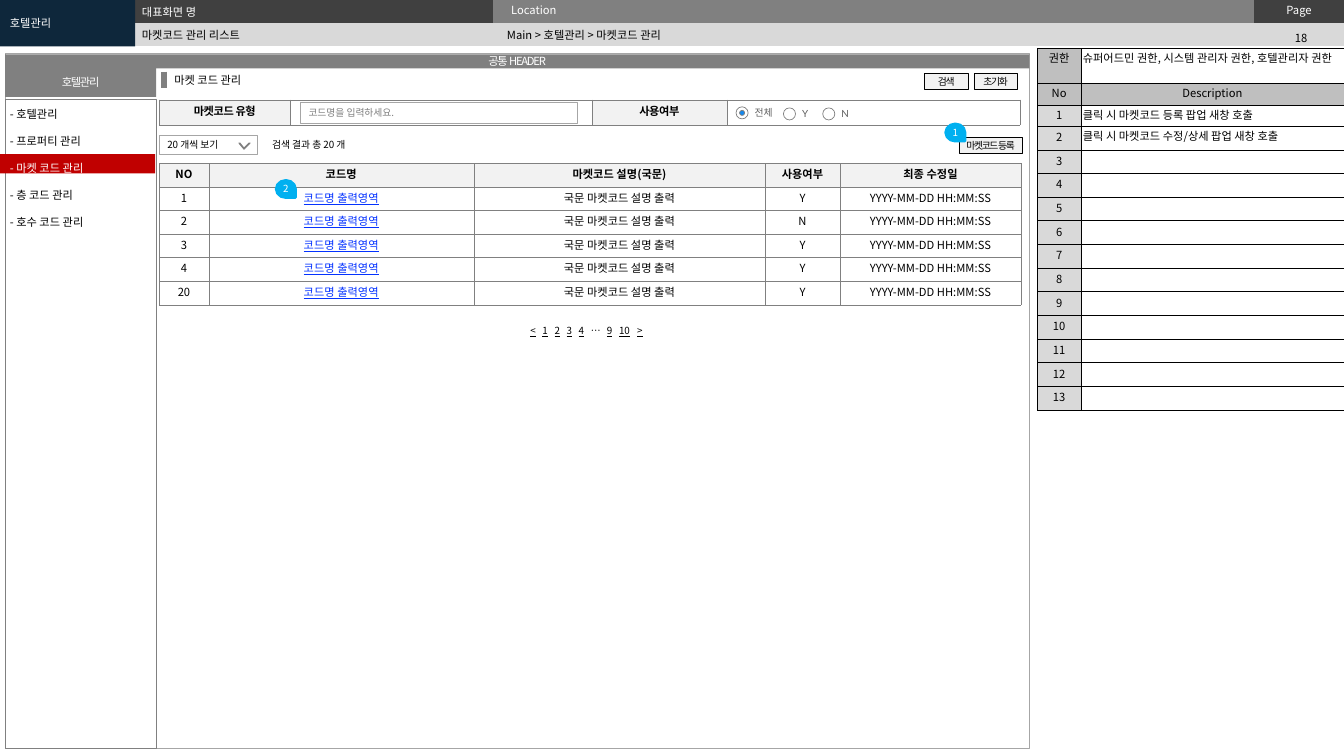
from lxml import etree
from pptx import Presentation
from pptx import util as u
from pptx.dml.color import RGBColor
from pptx.enum import shapes, text
from pptx.oxml import ns

# Grid of 1333 columns by 750 rows over the slide
COLUMNS, ROWS = 1333, 750
UNIT = u.Inches(0.01)
SANS, LABEL = "Noto Sans CJK KR", "Lato"
BLACK, WHITE, GRAY, PALE = "000000", "FFFFFF", "808080", "F2F2F2"
SILVER, EDGE, LINK, BLUE = "D9D9D9", "A6A6A6", "0432FF", "00B0F0"
CENTER, LEFT = text.PP_ALIGN.CENTER, text.PP_ALIGN.LEFT
MIDDLE, TOP = text.MSO_ANCHOR.MIDDLE, text.MSO_ANCHOR.TOP
RECT, OVAL = shapes.MSO_SHAPE.RECTANGLE, shapes.MSO_SHAPE.OVAL
PLAIN_STYLE = "{2D5ABB26-0587-4C30-8999-92F81FD0307C}"


def grid(*units):
    return [round(unit * UNIT) for unit in units]


def paint(fill, color):
    if color:
        fill.solid()
        fill.fore_color.rgb = RGBColor.from_string(color)
    else:
        fill.background()


def outline(shape, color, width):
    paint(shape.line.fill, color)
    if color:
        shape.line.width = u.Pt(width)


def child(parent, tag, **attributes):
    return etree.SubElement(parent, ns.qn(tag), attributes)


# Text
def add_span(para, words, size=8, color=BLACK, font=SANS, bold=False,
             underline=False, spacing=0):
    span = para.add_run()
    span.text = words
    span.font.size = u.Pt(size)
    span.font.bold, span.font.underline = bold, underline
    span.font.color.rgb = RGBColor.from_string(color)
    span.font.name = font
    properties = span._r.get_or_add_rPr()
    child(properties, "a:ea", typeface=SANS)
    if spacing:
        properties.set("spc", str(round(spacing * 100)))


def write(para, words, align=LEFT, size=8, leading=None, **style):
    para.alignment = align
    para.line_spacing = u.Pt(leading or size * 1.2)
    if words:
        add_span(para, words, size, **style)
    else:
        child(para._p, "a:endParaRPr", sz=str(size * 100))


def set_frame(frame, insets, anchor, wrap=True):
    side, end = grid(*insets)
    frame.margin_left = frame.margin_right = side
    frame.margin_top = frame.margin_bottom = end
    frame.vertical_anchor = anchor
    frame.word_wrap = wrap


def add_label(page, place, words, insets=(10, 5), anchor=TOP, wrap=True, **style):
    box = page.shapes.add_textbox(*grid(*place))
    set_frame(box.text_frame, insets, anchor, wrap)
    write(box.text_frame.paragraphs[0], words, **style)


# Shapes
def add_box(page, place, fill=None, line=None, width=0.25, kind=RECT,
            words="", insets=(0, 0), **style):
    box = page.shapes.add_shape(kind, *grid(*place))
    box.shadow.inherit = False
    paint(box.fill, fill)
    outline(box, line, width)
    if words:
        set_frame(box.text_frame, insets, MIDDLE)
        write(box.text_frame.paragraphs[0], words, **style)
    return box


def add_button(page, place, words):
    add_box(page, place, PALE, BLACK, words=words, align=CENTER, size=7, spacing=-0.9)


def add_marker(page, left, top, number):
    marker = add_box(page, (left, top, 17, 19), BLUE, BLUE, 2, shapes.MSO_SHAPE.TEAR,
                     number, align=CENTER, size=7, color=WHITE)
    marker.rotation = 90
    marker.text_frame._txBody.bodyPr.set("vert", "vert270")


def add_radio(page, left, top, words, width, chosen=False):
    add_box(page, (left, top, 12, 12), WHITE, GRAY, 0.5, OVAL)
    if chosen:
        add_box(page, (left + 3.5, top + 3.5, 5, 5), "1588EC", GRAY, 0.5, OVAL)
    add_label(page, (left + 10.5, top - 4, width, 20), words, (8, 4), MIDDLE, False,
              size=7, color="5F5F5F", font=LABEL)


# Tables
def add_table(page, left, top, widths, heights, border=None, width=0.25):
    table = page.shapes.add_table(len(heights), len(widths), *grid(
        left, top, sum(widths), sum(heights))).table
    table.first_row = table.horz_banding = False
    table._tbl.tblPr.find(ns.qn("a:tableStyleId")).text = PLAIN_STYLE
    for column, size in zip(table.columns, grid(*widths)):
        column.width = size
    for row, size in zip(table.rows, grid(*heights)):
        row.height = size
    for cell in table.iter_cells():
        if border:
            properties = cell._tc.get_or_add_tcPr()
            for side in ("a:lnL", "a:lnR", "a:lnT", "a:lnB"):
                edge = child(properties, side, w=str(u.Pt(width)))
                child(child(edge, "a:solidFill"), "a:srgbClr", val=border)
    return table


def fill_cell(cell, words, fill=None, insets=(10, 5), anchor=MIDDLE, **style):
    paint(cell.fill, fill)
    side, end = grid(*insets)
    cell.margin_left = cell.margin_right = side
    cell.margin_top = cell.margin_bottom = end
    cell.vertical_anchor = anchor
    write(cell.text_frame.paragraphs[0], words, **style)


# Parts of the screen
def draw_title_bar(page):
    table = add_table(page, 0, 0, [132, 357, 755, 89], [23, 23])
    names = [["", "", "Location", "Page"], [""] * 4]
    fills = [["009CA6", "404040", GRAY, "404040"], ["009CA6"] + [SILVER] * 3]
    for r, row in enumerate(names):
        for c, words in enumerate(row):
            fill_cell(table.cell(r, c), words, fills[r][c], (18, 4), TOP,
                      align=CENTER if c == 3 else LEFT, color=WHITE)
    table.cell(0, 0).merge(table.cell(1, 0))
    add_label(page, (1248, 26, 85, 24), "18", align=CENTER)
    add_label(page, (131, 24, 363, 22), "마켓코드 관리 리스트", anchor=MIDDLE)
    add_label(page, (493, 23, 738, 24), "Main > 호텔관리 > 마켓코드 관리", anchor=MIDDLE)
    add_label(page, (131, 0, 362, 22), "대표화면 명", color=WHITE)
    add_box(page, (0, 0, 134, 46), "0E273B", words="호텔관리", insets=(10, 5), color=WHITE)


def draw_window(page):
    add_box(page, (5, 53, 1016, 689), line=EDGE)
    for place, words in (((5, 54, 1016, 14), "공통 HEADER"), ((5, 67, 150, 29), "호텔관리")):
        add_box(page, place, GRAY, words=words, insets=(4, 0), align=CENTER,
                color=WHITE, spacing=-0.9)
    add_box(page, (5, 98, 150, 644), line=GRAY)
    add_label(page, (163, 68, 241, 24), "마켓 코드 관리")
    bar = page.shapes.add_connector(shapes.MSO_CONNECTOR.STRAIGHT, *grid(163, 71, 163, 87))
    outline(bar, GRAY, 4.5)
    child(bar._element.spPr, "a:effectLst")


def draw_menu(page):
    add_box(page, (0, 153, 154, 19), "C00000")
    menu = page.shapes.add_textbox(*grid(0, 88, 144, 168)).text_frame
    set_frame(menu, (10, 5), TOP)
    items = ["호텔관리", "프로퍼티 관리", "마켓 코드 관리", "층 코드 관리", "호수 코드 관리"]
    for i, item in enumerate(items):
        para = menu.add_paragraph() if i else menu.paragraphs[0]
        write(para, "- " + item, leading=19.3, color=WHITE if i == 2 else BLACK)


def draw_search(page):
    table = add_table(page, 158, 99, [130, 299, 134, 291], [25], GRAY)
    for c, words in enumerate(["마켓코드 유형", "", "사용여부", ""]):
        fill_cell(table.cell(0, c), words, PALE if words else WHITE,
                  align=CENTER, bold=True, spacing=-0.3)
    add_button(page, (966, 73, 43, 16), "초기화")
    add_button(page, (917, 73, 43, 16), "검색")
    add_button(page, (951, 136, 63, 16), "마켓코드 등록")
    add_box(page, (298, 102, 275, 20), WHITE, EDGE, 0.5, words="코드명을 입력하세요.",
            insets=(8, 4), size=7, color=GRAY)
    add_radio(page, 730, 106, "전체", 35, chosen=True)
    add_radio(page, 777, 107, "Y", 22)
    add_radio(page, 816, 107, "N", 24)


def draw_results(page):
    # Page size and count
    add_label(page, (260, 133, 99, 22), "검색 결과 총 20 개", wrap=False, size=7)
    add_box(page, (158, 134, 97, 19), WHITE, EDGE, 0.5, words="20 개씩 보기",
            insets=(8, 4), size=7)
    points = [(248, 142), (247, 142), (242, 147), (238, 142), (237, 142), (242, 148)]
    builder = page.shapes.build_freeform(*points[0], scale=UNIT)
    builder.add_line_segments(points[1:], close=True)
    arrow = builder.convert_to_shape()
    arrow.shadow.inherit = False
    paint(arrow.fill, "5F5F5F")
    outline(arrow, GRAY, 0.75)

    # Result list
    rows = [["NO", "코드명", "마켓코드 설명(국문)", "사용여부", "최종 수정일"]]
    for number, used in zip(("1", "2", "3", "4", "20"), "YNYYY"):
        rows.append([number, "코드명 출력영역", "국문 마켓코드 설명 출력", used,
                     "YYYY-MM-DD HH:MM:SS"])
    table = add_table(page, 158, 162, [49, 263, 289, 74, 180], [23.4] * len(rows), GRAY)
    for r, row in enumerate(rows):
        for c, words in enumerate(row):
            link = r > 0 and c == 1
            fill_cell(table.cell(r, c), words, WHITE if r else PALE, align=CENTER,
                      bold=r == 0, underline=link, color=LINK if link else BLACK)

    # Page links, spaced by tab stops
    pager = page.shapes.add_textbox(*grid(518, 318, 145, 20)).text_frame
    set_frame(pager, (8, 4), TOP)
    para = pager.paragraphs[0]
    para.line_spacing = u.Pt(8.4)
    stops = child(para._p.get_or_add_pPr(), "a:tabLst")
    for stop in grid(12, 24, 36, 48, 60, 76, 88, 106):
        child(stops, "a:tab", pos=str(stop), algn="l")
    for i, mark in enumerate(["<", "1", "2", "3", "4", "…", "9", "10", ">"]):
        if i:
            add_span(para, "\t", 7)
        add_span(para, mark, 7, underline=mark != "…")


def draw_description(page):
    notes = ["클릭 시 마켓코드 등록 팝업 새창 호출", "클릭 시 마켓코드 수정/상세 팝업 새창 호출"]
    rows = [("권한", "슈퍼어드민 권한, 시스템 관리자 권한, 호텔관리자 권한"), ("No", "Description")]
    rows += [(str(n + 1), notes[n] if n < len(notes) else "") for n in range(13)]
    heights = [35, 21, 21, 23] + [23.5] * 11
    table = add_table(page, 1029, 48, [43, 261], heights, BLACK, 0.5)
    for r, (number, words) in enumerate(rows):
        fill_cell(table.cell(r, 0), number, "BFBFBF" if r < 2 else SILVER, (2, 4),
                  TOP if r < 2 else MIDDLE, align=CENTER)
        fill_cell(table.cell(r, 1), words, "BFBFBF" if r == 1 else None, (2, 4), TOP,
                  align=CENTER if r == 1 else LEFT)


def main():
    deck = Presentation()
    deck.slide_width, deck.slide_height = grid(COLUMNS, ROWS)
    page = deck.slides.add_slide(deck.slide_layouts[6])
    draw_title_bar(page)
    draw_window(page)
    draw_search(page)
    draw_results(page)
    draw_description(page)
    draw_menu(page)
    add_marker(page, 275, 178, "2")
    add_marker(page, 939, 122, "1")
    deck.save("out.pptx")


if __name__ == "__main__":
    main()
